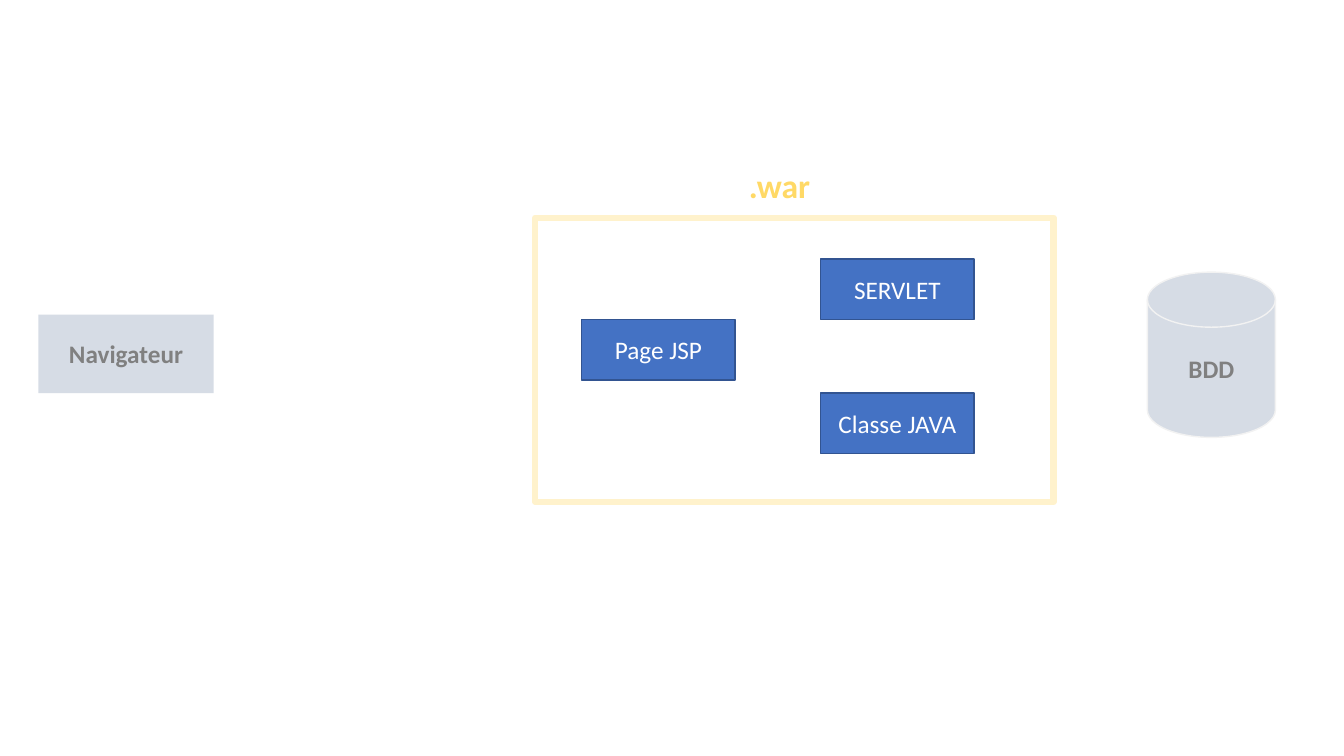
from pptx import Presentation
from pptx.dml.color import RGBColor
from pptx.enum.shapes import MSO_SHAPE
from pptx.enum.text import MSO_ANCHOR, PP_ALIGN
from pptx.util import Inches, Pt

RECTANGLE = MSO_SHAPE.RECTANGLE
DISK = MSO_SHAPE.FLOWCHART_MAGNETIC_DISK
MIDDLE = MSO_ANCHOR.MIDDLE
CENTER = PP_ALIGN.CENTER

COLORS = {
    "component": "4472C4",
    "component_edge": "325491",
    "component_text": "FFFFFF",
    "archive_edge": "FFF2CC",
    "archive_text": "FFD966",
    "outer": "D6DCE5",
    "outer_edge": "F2F2F2",
    "outer_text": "808080",
}


def write(shape, text, size, color, bold):
    para = shape.text_frame.paragraphs[0]
    para.text = text
    para.font.name = "Calibri"
    para.font.size = Pt(size)
    para.font.bold = bold
    para.font.color.rgb = RGBColor.from_string(COLORS[color])
    return para


def add_block(kind, place, fill, edge, edge_width=1):
    block = page.shapes.add_shape(kind, *[Inches(length) for length in place])
    block.shadow.inherit = False
    if fill:
        block.fill.solid()
        block.fill.fore_color.rgb = RGBColor.from_string(COLORS[fill])
    else:
        block.fill.background()
    if edge:
        block.line.color.rgb = RGBColor.from_string(COLORS[edge])
        block.line.width = Pt(edge_width)
    else:
        block.line.fill.background()
    return block


deck = Presentation()
deck.slide_width = Inches(13.33)
deck.slide_height = Inches(7.5)
page = deck.slides.add_slide(deck.slide_layouts[6])

left_column, right_column = 5.77, 8.14
components = [
    ("SERVLET", right_column, 2.57),
    ("Page JSP", left_column, 3.17),
    ("Classe JAVA", right_column, 3.9),
]
for name, left, top in components:
    component = add_block(RECTANGLE, (left, top, 1.52, 0.6), "component", "component_edge")
    component.text_frame.vertical_anchor = MIDDLE
    write(component, name, 18, "component_text", False).alignment = CENTER

add_block(RECTANGLE, (5.31, 2.16, 5.14, 2.82), None, "archive_edge", 4.5)
archive_label = page.shapes.add_textbox(Inches(7.33), Inches(1.59), Inches(1.08), Inches(0.5))
archive_label.text_frame.word_wrap = True
write(archive_label, ".war", 24, "archive_text", True)

outer_parts = [
    ("BDD", DISK, (11.38, 2.7, 1.27, 1.64), "outer_edge"),
    ("Navigateur", RECTANGLE, (0.38, 3.12, 1.74, 0.78), None),
]
for name, kind, place, edge in outer_parts:
    part = add_block(kind, place, "outer", edge)
    part.text_frame.vertical_anchor = MIDDLE
    write(part, name, 18, "outer_text", True).alignment = CENTER

deck.save("out.pptx")
